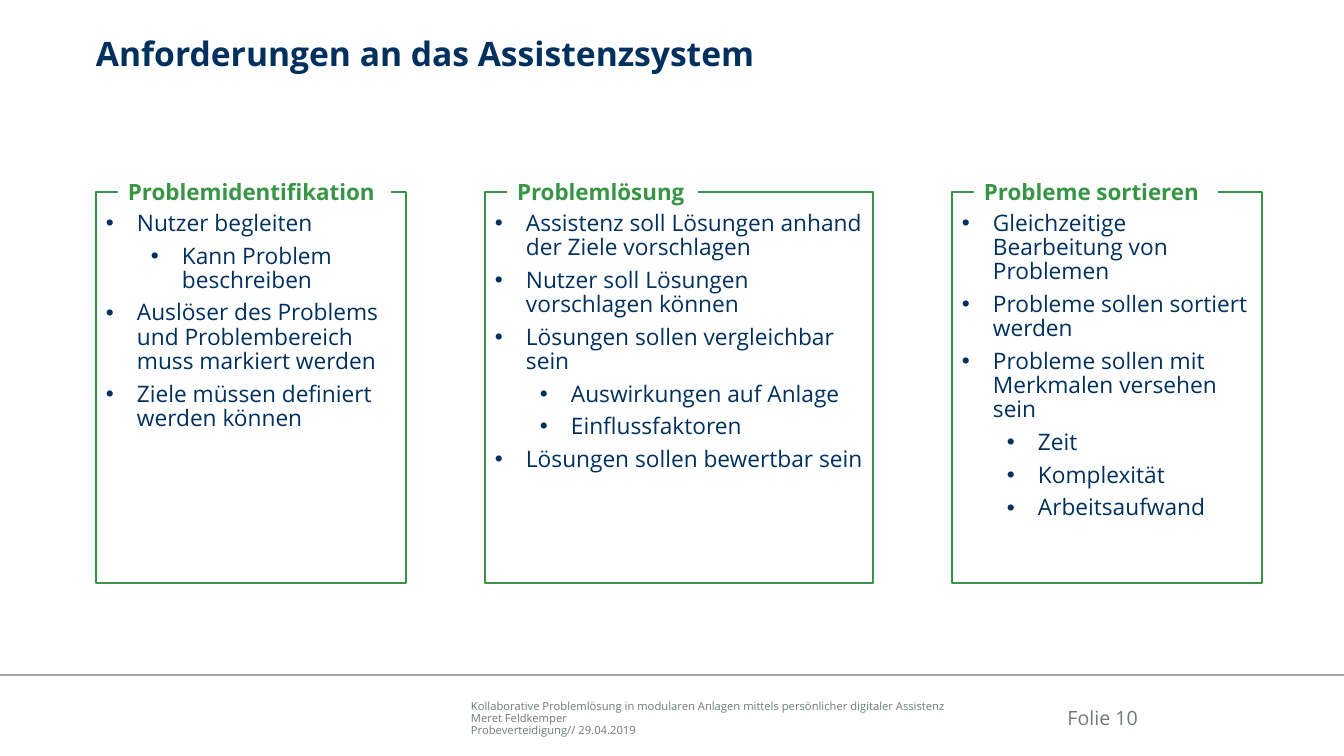
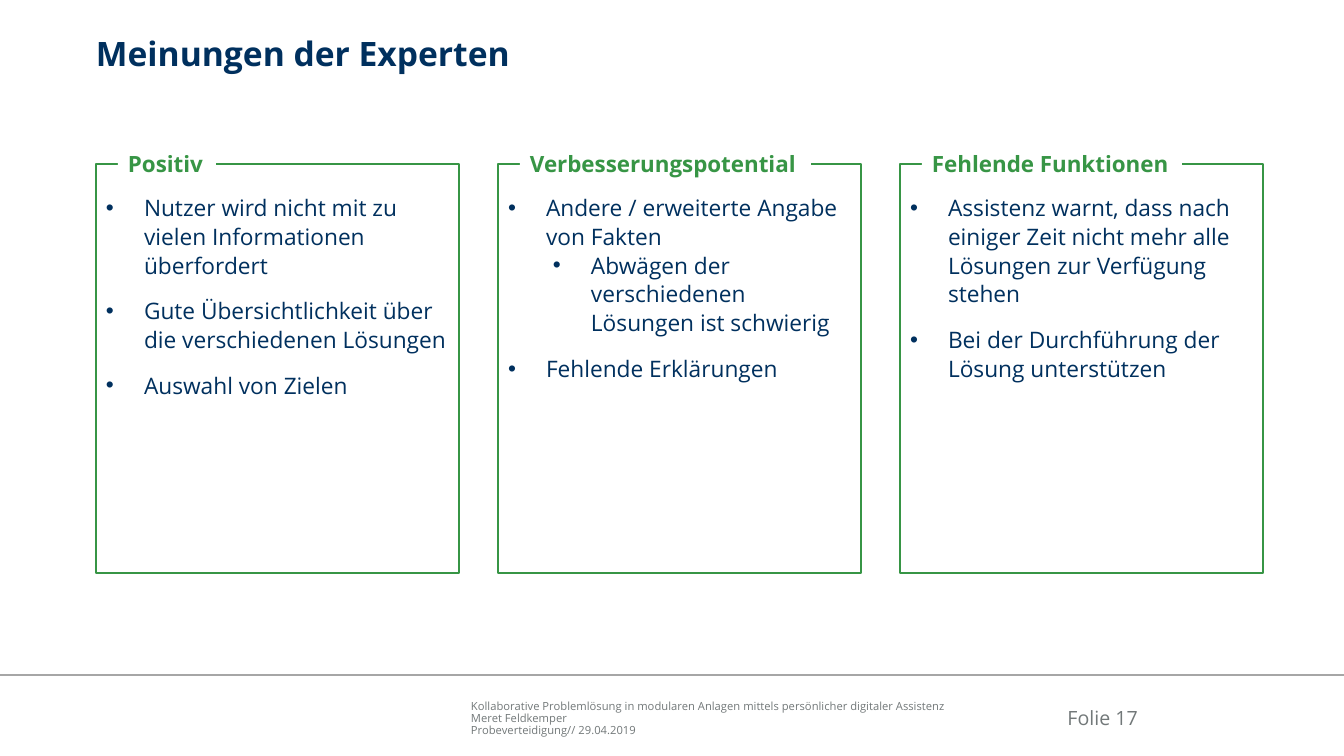
"""Builds two slides of titled requirement and opinion panels."""
import dataclasses

import lxml.etree
import pptx
import pptx.dml.color
import pptx.enum.shapes
import pptx.enum.text
import pptx.oxml.ns
import pptx.util

ALIGN = pptx.enum.text.PP_ALIGN
ANCHOR = pptx.enum.text.MSO_ANCHOR
RECTANGLE = pptx.enum.shapes.MSO_SHAPE.RECTANGLE
STRAIGHT = pptx.enum.shapes.MSO_CONNECTOR.STRAIGHT


@dataclasses.dataclass(frozen=True)
class Theme:
    font: str = "Open Sans"
    navy: str = "00305E"
    green: str = "379545"
    grey: str = "727879"
    rule: str = "A6A6A6"
    white: str = "FFFFFF"
    title_size: float = 24
    heading_size: float = 16
    body_size: float = 16.2
    number_size: float = 14
    footer_size: float = 8
    tight: float = 0.89


THEME = Theme()
SLIDE_WIDTH, SLIDE_HEIGHT = 1344, 756
LEFT, CONTENT_WIDTH = 96, 1167
FOOTER_RULE_Y = 675
LABEL_OFFSET, LABEL_RISE, LABEL_HEIGHT = 22, 19, 37
SUBLEVEL_STEP = 45

FOOTER = [
    "Kollaborative Problemlösung in modularen Anlagen mittels persönlicher digitaler Assistenz",
    "Meret Feldkemper",
    "Probeverteidigung// 29.04.2019",
]

SLIDES = [
    {
        "title": "Anforderungen an das Assistenzsystem",
        "number": "Folie 10",
        "top": 192, "height": 391, "inset_top": 20,
        "format": {"indent": 31, "spacing": THEME.tight, "before": (6, 6)},
        "panels": [
            ("Problemidentifikation", 310, 273, [
                (0, "Nutzer begleiten"),
                (1, "Kann Problem beschreiben"),
                (0, "Auslöser des Problems und Problembereich muss markiert werden"),
                (0, "Ziele müssen definiert werden können"),
            ]),
            ("Problemlösung", 388, 191, [
                (0, "Assistenz soll Lösungen anhand der Ziele vorschlagen"),
                (0, "Nutzer soll Lösungen vorschlagen können"),
                (0, "Lösungen sollen vergleichbar sein"),
                (1, "Auswirkungen auf Anlage"),
                (1, "Einflussfaktoren"),
                (0, "Lösungen sollen bewertbar sein"),
            ]),
            ("Probleme sortieren", 310, 244, [
                (0, "Gleichzeitige Bearbeitung von Problemen"),
                (0, "Probleme sollen sortiert werden"),
                (0, "Probleme sollen mit Merkmalen versehen sein"),
                (1, "Zeit"),
                (1, "Komplexität"),
                (1, "Arbeitsaufwand"),
            ]),
        ],
    },
    {
        "title": "Meinungen der Experten",
        "number": "Folie 17",
        "top": 164, "height": 409, "inset_top": 28,
        "format": {"indent": 38, "spacing": 1.06, "before": (12, 0)},
        "panels": [
            ("Positiv", 363, 98, [
                (0, "Nutzer wird nicht mit zu vielen Informationen überfordert"),
                (0, "Gute Übersichtlichkeit über die verschiedenen Lösungen"),
                (0, "Auswahl von Zielen"),
            ]),
            ("Verbesserungspotential", 363, 291, [
                (0, "Andere / erweiterte Angabe von Fakten"),
                (1, "Abwägen der verschiedenen Lösungen ist schwierig"),
                (0, "Fehlende Erklärungen"),
            ]),
            ("Fehlende Funktionen", 363, 260, [
                (0, "Assistenz warnt, dass nach einiger Zeit nicht mehr alle Lösungen zur Verfügung stehen"),
                (0, "Bei der Durchführung der Lösung unterstützen"),
            ]),
        ],
    },
]


def px(length):
    """Converts pixels to EMU."""
    return pptx.util.Emu(round(length * 914400 / 100.8))


def rgb(value):
    """Returns a colour from its hex digits."""
    return pptx.dml.color.RGBColor.from_string(value)


def add_bullet(paragraph, level, indent):
    """Gives a paragraph a hanging bullet."""
    paragraph.level = level
    properties = paragraph._p.get_or_add_pPr()
    properties.set("marL", str(px(indent + level * SUBLEVEL_STEP)))
    properties.set("indent", str(-px(indent)))
    for tag, key, value in (("a:buFont", "typeface", "Arial"), ("a:buChar", "char", "•")):
        lxml.etree.SubElement(properties, pptx.oxml.ns.qn(tag)).set(key, value)


def write(shape, lines, *, size, color, bold=False, align=ALIGN.LEFT, anchor=ANCHOR.TOP,
          insets=(0, 0, 0, 0), spacing=1.0, before=(0, 0), indent=None):
    """Fills a shape with (level, text) lines in one format."""
    frame = shape.text_frame
    frame.word_wrap = True
    frame.auto_size = pptx.enum.text.MSO_AUTO_SIZE.NONE
    frame.vertical_anchor = anchor
    (frame.margin_left, frame.margin_top,
     frame.margin_right, frame.margin_bottom) = map(px, insets)
    for position, (level, text) in enumerate(lines):
        paragraph = frame.add_paragraph() if position else frame.paragraphs[0]
        if indent is not None:
            add_bullet(paragraph, level, indent)
        paragraph.alignment = align
        paragraph.line_spacing = spacing
        paragraph.space_before = pptx.util.Pt(before[level] if position else 0)
        run = paragraph.add_run()
        run.text = text
        run.font.name = THEME.font
        run.font.size = pptx.util.Pt(size)
        run.font.bold = bold
        run.font.color.rgb = rgb(color)


def add_box(shapes, bounds, outline=None):
    """Adds a white rectangle with an optional outline."""
    box = shapes.add_shape(RECTANGLE, *map(px, bounds))
    box.shadow.inherit = False
    box.fill.solid()
    box.fill.fore_color.rgb = rgb(THEME.white)
    if outline:
        box.line.color.rgb = rgb(outline)
        box.line.width = pptx.util.Pt(1)
    else:
        box.line.fill.background()
    return box


def add_panel(slide, content, left, panel):
    """Adds a bulleted panel whose heading interrupts its top edge."""
    heading, width, label_width, lines = panel
    top = content["top"]
    shapes = slide.shapes.add_group_shape().shapes
    body = add_box(shapes, (left, top, width, content["height"]), THEME.green)
    write(body, lines, size=THEME.body_size, color=THEME.navy,
          insets=(10, content["inset_top"], 8, 5), **content["format"])
    label = add_box(shapes, (left + LABEL_OFFSET, top - LABEL_RISE, label_width, LABEL_HEIGHT))
    write(label, [(0, heading)], size=THEME.heading_size, color=THEME.green, bold=True,
          anchor=ANCHOR.MIDDLE, insets=(10, 5, 8, 5))


def add_frame(slide, title, number):
    """Adds the title, footer rule, footer text and slide number."""
    heading = slide.shapes.title
    heading.left, heading.top, heading.width, heading.height = map(px, (LEFT, 38, CONTENT_WIDTH, 76))
    write(heading, [(0, title)], size=THEME.title_size, color=THEME.navy, bold=True,
          spacing=THEME.tight)
    rule = slide.shapes.add_connector(
        STRAIGHT, *map(px, (0, FOOTER_RULE_Y, SLIDE_WIDTH, FOOTER_RULE_Y)))
    rule.line.color.rgb = rgb(THEME.rule)
    rule.line.width = pptx.util.Pt(1)
    lxml.etree.SubElement(rule._element.spPr, pptx.oxml.ns.qn("a:effectLst"))
    footer = slide.shapes.add_textbox(*map(px, (471, 697, 495, 40)))
    write(footer, [(0, line) for line in FOOTER], size=THEME.footer_size, color=THEME.grey,
          anchor=ANCHOR.BOTTOM, spacing=THEME.tight)
    folio = slide.shapes.add_textbox(*map(px, (1038, 693, 100, 50)))
    write(folio, [(0, number)], size=THEME.number_size, color=THEME.grey,
          align=ALIGN.RIGHT, anchor=ANCHOR.MIDDLE)


def main():
    """Builds and saves the presentation."""
    deck = pptx.Presentation()
    deck.slide_width, deck.slide_height = px(SLIDE_WIDTH), px(SLIDE_HEIGHT)
    title_only = deck.slide_layouts.get_by_name("Title Only")
    for content in SLIDES:
        slide = deck.slides.add_slide(title_only)
        add_frame(slide, content["title"], content["number"])
        panels = content["panels"]
        gap = (CONTENT_WIDTH - sum(panel[1] for panel in panels)) // (len(panels) - 1)
        left = LEFT
        for panel in panels:
            add_panel(slide, content, left, panel)
            left += panel[1] + gap
    deck.save("out.pptx")


if __name__ == "__main__":
    main()
